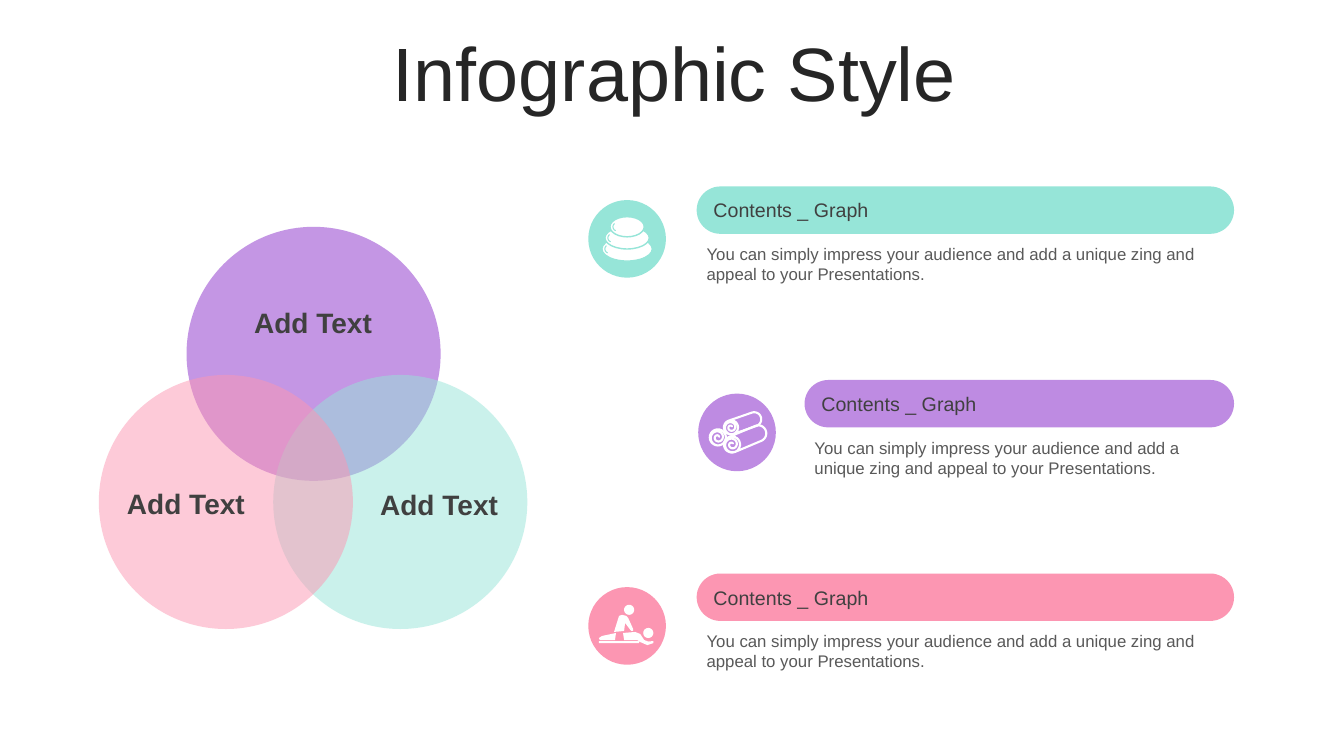
from math import atan2, cos, pi, sin

from lxml.etree import SubElement
from pptx import Presentation
from pptx.dml.color import RGBColor
from pptx.enum.shapes import MSO_SHAPE as Shape
from pptx.enum.text import MSO_ANCHOR as Anchor, PP_ALIGN as Align
from pptx.oxml.ns import qn
from pptx.util import Inches, Pt

MINT, PURPLE, PINK = "96E5D8", "BE8BE2", "FC96B2"
WHITE, BLACK, DARK, GREY = "FFFFFF", "262626", "404040", "595959"
BODY = "You can simply impress your audience and add a unique zing and appeal to your Presentations."


def paint(color_format, color):
    """Set a fill or line format to a solid hex colour."""
    color_format.solid()
    color_format.fore_color.rgb = RGBColor.from_string(color)


def style(shape, color, opacity=100):
    """Give a shape a plain fill without line or shadow."""
    shape.shadow.inherit = False
    paint(shape.fill, color)
    shape.line.fill.background()
    if opacity < 100:
        rgb = next(shape._element.spPr.iter(qn("a:srgbClr")))
        SubElement(rgb, qn("a:alpha"), val=str(opacity * 1000))
    return shape


def write(shape, text, size, color, align=Align.LEFT, anchor=Anchor.TOP, bold=False):
    """Write one paragraph of text into a shape."""
    frame = shape.text_frame
    frame.word_wrap = True
    frame.vertical_anchor = anchor
    paragraph = frame.paragraphs[0]
    paragraph.alignment = align
    run = paragraph.add_run()
    run.text = text
    run.font.name, run.font.size, run.font.bold = "Arial", Pt(size), bold
    run.font.color.rgb = RGBColor.from_string(color)
    return paragraph


def add_text(slide, left, top, width, height, *args, **options):
    """Add a wrapped text box."""
    box = slide.shapes.add_textbox(Inches(left), Inches(top), Inches(width), Inches(height))
    return write(box, *args, **options)


def add_preset(slide, preset, left, top, width, height, color, opacity=100):
    """Add a filled preset shape."""
    shape = slide.shapes.add_shape(preset, Inches(left), Inches(top), Inches(width), Inches(height))
    return style(shape, color, opacity)


def add_ellipse(slide, x, y, radius_x, radius_y, color, opacity=100):
    """Add a filled ellipse around a centre."""
    return add_preset(slide, Shape.OVAL, x - radius_x, y - radius_y,
                      2 * radius_x, 2 * radius_y, color, opacity)


def add_outline(slide, contours, closed):
    """Add one freeform of contours given in inches."""
    first, *others = [[(Inches(x), Inches(y)) for x, y in points] for points in contours]
    builder = slide.shapes.build_freeform(*first[0])
    builder.add_line_segments(first[1:], close=closed)
    for points in others:
        builder.move_to(*points[0])
        builder.add_line_segments(points[1:], close=closed)
    return builder.convert_to_shape()


def add_stroke(slide, points, color, width):
    """Add an open line through points."""
    shape = add_outline(slide, [points], closed=False)
    shape.shadow.inherit = False
    shape.fill.background()
    paint(shape.line.fill, color)
    shape.line.width = Pt(width)


def arc(x, y, start, sweep, radius, end_radius, steps=24):
    """Return points of an arc whose radius changes evenly."""
    points = []
    for step in range(steps + 1):
        part = step / steps
        angle = start + sweep * part
        reach = radius + (end_radius - radius) * part
        points.append((x + reach * cos(angle), y + reach * sin(angle)))
    return points


def draw_stones(slide, x, y):
    """Draw three stacked stones."""
    stones = ((0.10, 0.25, 0.12), (-0.01, 0.22, 0.11), (-0.12, 0.17, 0.1))
    for offset, radius_x, radius_y in stones:
        stone = add_ellipse(slide, x, y + offset, radius_x, radius_y, WHITE)
        paint(stone.line.fill, MINT)
        stone.line.width = Pt(1)
        glint = arc(x - radius_x + 0.07, y + offset, pi * 1.3, -pi * 0.7, 0.04, 0.04)
        add_stroke(slide, glint, MINT, 0.75)


def draw_towels(slide, x, y):
    """Draw three rolled towels with spiral ends."""
    towels = ((-0.06, -0.05, 0.17, -0.13, 0.07), (-0.19, 0.05, -0.19, 0.05, 0.08),
              (-0.05, 0.12, 0.21, 0.01, 0.08))
    for near_x, near_y, far_x, far_y, radius in towels:
        angle = atan2(far_y - near_y, far_x - near_x)
        center = (x + near_x, y + near_y)
        ring = arc(*center, angle - pi / 2, -2 * pi, radius, radius)
        end = arc(x + far_x, y + far_y, angle - pi / 2, pi, radius, radius)
        spiral = arc(*center, angle + pi / 2, 3.5 * pi, radius, 0.01, 60)
        add_stroke(slide, ring + end + spiral, WHITE, 1.5)


def draw_massage(slide, x, y):
    """Draw a therapist bending over a person on a table."""
    legs = ((-11, 7), (-12, 14), (-27, 14), (-28, 12), (-25, 10))
    body = ((8, 6), (13, 8), (17, 14), (21, 15.5), (26, 15), (26, 17),
            (20, 19), (13, 16), (10, 14), (-3, 14), (-4, 7))
    therapist = ((-8, -10), (-5, -11), (-1, -10), (1, -8), (6, 3), (6, 5),
                 (4, 5), (-2, -3), (-3, 5), (-13, 6))
    table = ((-28, 15), (12, 15), (12, 17), (-28, 17))
    contours = [[(x + right / 100, y + down / 100) for right, down in part]
                for part in (legs, body, therapist, table)]
    for right, down in ((0.21, 0.07), (0.02, -0.16)):
        contours.append(arc(x + right, y + down, 0, 2 * pi, 0.05, 0.05))
    style(add_outline(slide, contours, closed=True), WHITE)


def add_venn(slide):
    """Add the three overlapping circles and their labels."""
    for x, y, color, opacity in ((3.11, 3.51, PURPLE, 90), (3.97, 4.98, MINT, 50),
                                 (2.24, 4.98, PINK, 50)):
        add_ellipse(slide, x, y, 1.26, 1.26, color, opacity)
    for left, top in ((0.98, 4.78), (3.49, 4.79), (2.24, 2.98)):
        add_text(slide, left, top, 1.73, 0.44, "Add Text", 20, DARK, Align.CENTER, bold=True)


def add_row(slide, x, left, top, color, draw_icon):
    """Add an icon disc, a heading bar and a description."""
    y = top + 0.52
    width = 12.24 - left
    add_ellipse(slide, x, y, 0.385, 0.385, color)
    draw_icon(slide, x, y)
    add_text(slide, left, top + 0.52, width, 0.5, BODY, 12, GREY)
    bar = add_preset(slide, Shape.ROUNDED_RECTANGLE, left, top, width, 0.47, color)
    bar.adjustments[0] = 0.5
    write(bar, "Contents _ Graph", 14, DARK, anchor=Anchor.MIDDLE)


def main():
    """Build and save the slide."""
    presentation = Presentation()
    presentation.slide_width, presentation.slide_height = Inches(13.33), Inches(7.5)
    slide = presentation.slides.add_slide(presentation.slide_layouts[6])
    title = add_text(slide, 0.36, 0.37, 12.66, 0.79, "Infographic Style", 54, BLACK,
                     Align.CENTER, Anchor.MIDDLE)
    title.line_spacing = 0.9
    add_venn(slide)
    rows = ((6.22, 6.91, MINT, draw_stones), (7.31, 7.98, PURPLE, draw_towels),
            (6.22, 6.91, PINK, draw_massage))
    for index, (x, left, color, draw_icon) in enumerate(rows):
        add_row(slide, x, left, 1.85 + 1.92 * index, color, draw_icon)
    presentation.save("out.pptx")


if __name__ == "__main__":
    main()
